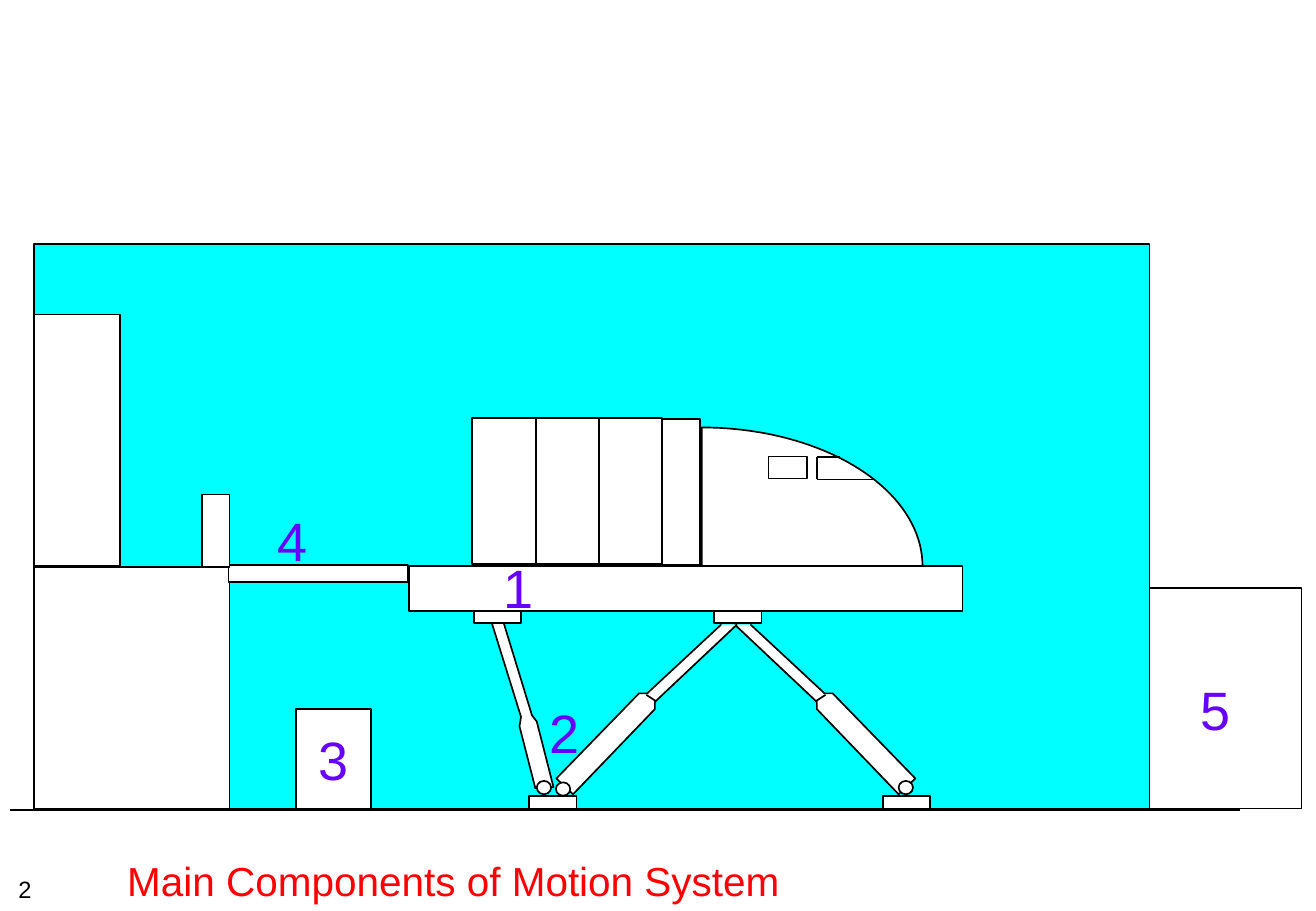
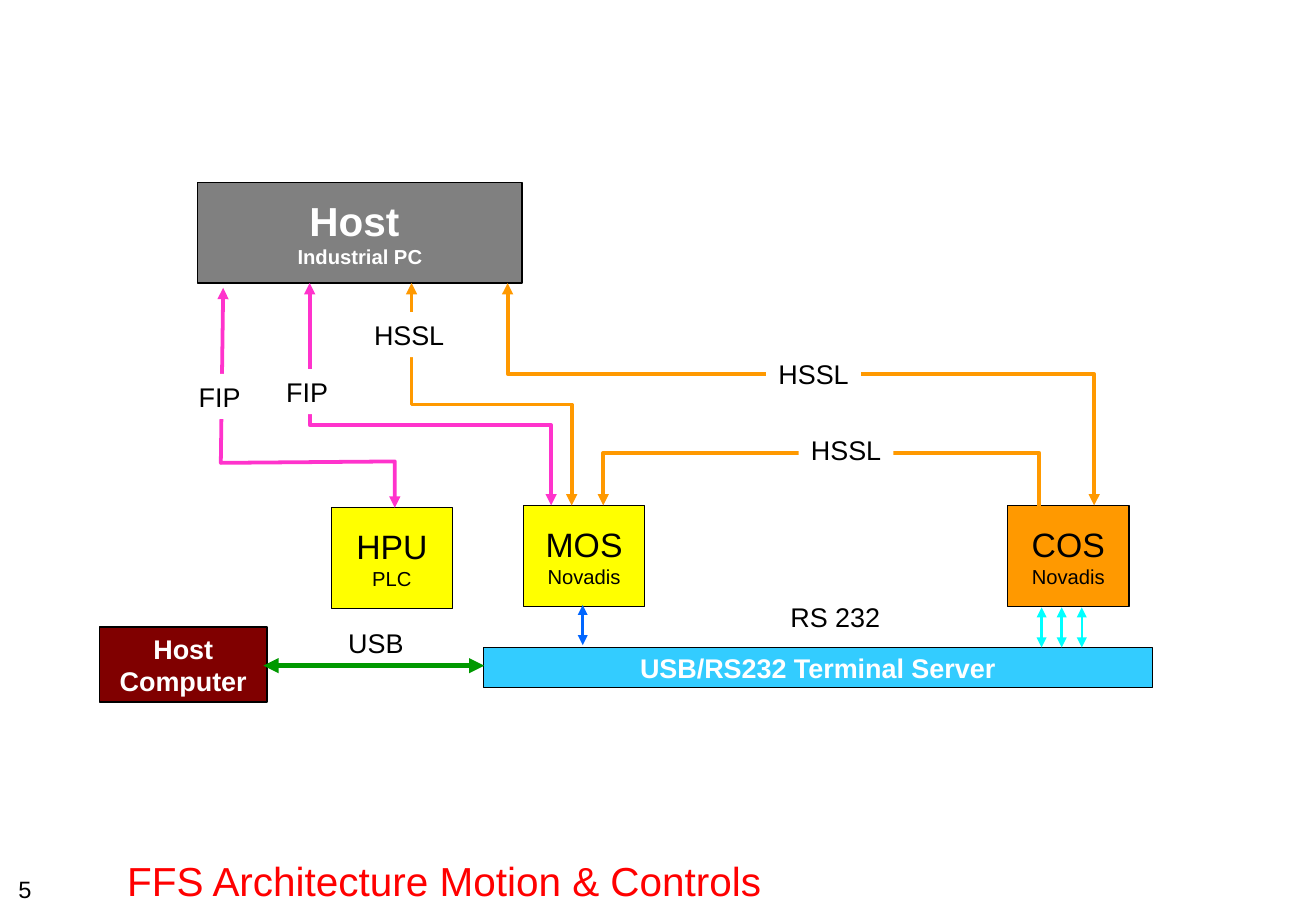
from dataclasses import dataclass
from math import cos, pi, sin

from lxml.etree import SubElement
from pptx import Presentation
from pptx.dml.color import RGBColor
from pptx.enum.shapes import MSO_CONNECTOR, MSO_SHAPE
from pptx.enum.text import MSO_ANCHOR, MSO_AUTO_SIZE, PP_ALIGN
from pptx.oxml.ns import qn
from pptx.util import Cm, Pt

FONT = "Arial"
BLACK, WHITE, RED = "000000", "FFFFFF", "FF0000"
CYAN, VIOLET, GREY = "00FFFF", "6600FF", "808080"
YELLOW, ORANGE, PINK = "FFFF00", "FF9900", "FF33CC"
SKY, BLUE, GREEN, MAROON = "33CCFF", "0066FF", "009900", "800000"
INSETS = {
    "margin_left": Cm(0.25),
    "margin_right": Cm(0.25),
    "margin_top": Cm(0.13),
    "margin_bottom": Cm(0.13),
}
TITLE_BOX = {"left": Cm(2.41), "top": Cm(17.75), "width": Cm(25.1), "height": Cm(1.3)}
MIRROR_SUM = 30.79

Points = list[tuple[float, float]]


@dataclass(frozen=True)
class Line:
    """One line of text with its look."""

    text: str
    size: float
    color: str = BLACK
    bold: bool = False


@dataclass(frozen=True)
class Block:
    """A preset shape in centimetres with optional centred text."""

    left: float
    top: float
    width: float
    height: float
    fill: str = WHITE
    border: float = 1
    lines: tuple[Line, ...] = ()
    preset: MSO_SHAPE = MSO_SHAPE.RECTANGLE


@dataclass(frozen=True)
class Wire:
    """A path in centimetres with optional arrowheads."""

    points: Points
    color: str = BLACK
    width: float = 1
    head: bool = False
    tail: bool = False


def apply(target, formats: dict) -> None:
    """Set every format value on the target."""
    for name, value in formats.items():
        setattr(target, name, value)


def rgb(color: str) -> RGBColor:
    """Turn a hex string into a colour."""
    return RGBColor.from_string(color)


def write_lines(frame, lines: tuple[Line, ...], align: PP_ALIGN) -> None:
    """Write one paragraph per line."""
    for index, line in enumerate(lines):
        paragraph = frame.add_paragraph() if index else frame.paragraphs[0]
        paragraph.alignment = align
        run = paragraph.add_run()
        run.text = line.text
        apply(run.font, {"name": FONT, "size": Pt(line.size), "bold": line.bold})
        run.font.color.rgb = rgb(line.color)


def set_outline(shape, color: str, width: float) -> None:
    """Colour and size the outline."""
    shape.line.color.rgb = rgb(color)
    shape.line.width = Pt(width)


def draw_block(slide, block: Block) -> None:
    """Draw a block with its outline and text."""
    box = (block.left, block.top, block.width, block.height)
    shape = slide.shapes.add_shape(block.preset, *map(Cm, box))
    shape.shadow.inherit = False
    shape.fill.solid()
    shape.fill.fore_color.rgb = rgb(block.fill)
    if block.border:
        set_outline(shape, BLACK, block.border)
    else:
        shape.line.fill.background()
    if block.lines:
        frame = shape.text_frame
        apply(frame, INSETS | {"word_wrap": False, "vertical_anchor": MSO_ANCHOR.MIDDLE})
        write_lines(frame, block.lines, PP_ALIGN.CENTER)


def draw_path(slide, points: Points, close: bool = False):
    """Build a freeform through the points."""
    start, *rest = [(Cm(x), Cm(y)) for x, y in points]
    builder = slide.shapes.build_freeform(*start, scale=1.0)
    builder.add_line_segments(rest, close=close)
    shape = builder.convert_to_shape()
    shape.shadow.inherit = False
    return shape


def draw_part(slide, points: Points, close: bool = False) -> None:
    """Draw a white outlined part of the simulator."""
    shape = draw_path(slide, points, close)
    shape.fill.solid()
    shape.fill.fore_color.rgb = rgb(WHITE)
    set_outline(shape, BLACK, 1)


def draw_wire(slide, wire: Wire) -> None:
    """Draw a straight connector or an angled path."""
    straight = len(wire.points) == 2
    if straight:
        ends = [Cm(value) for point in wire.points for value in point]
        shape = slide.shapes.add_connector(MSO_CONNECTOR.STRAIGHT, *ends)
    else:
        shape = draw_path(slide, wire.points)
        shape.fill.background()
    set_outline(shape, wire.color, wire.width)
    properties = shape.element.spPr
    outline = properties.find(qn("a:ln"))
    for tag, shown in (("a:headEnd", wire.head), ("a:tailEnd", wire.tail)):
        if shown:
            SubElement(outline, qn(tag), type="triangle")
    if straight:
        SubElement(properties, qn("a:effectLst"))


def draw_text(slide, box: tuple[float, ...], line: Line, align: PP_ALIGN,
              anchor: MSO_ANCHOR) -> None:
    """Draw a single-line text box."""
    frame = slide.shapes.add_textbox(*map(Cm, box)).text_frame
    apply(frame, INSETS | {"word_wrap": False, "vertical_anchor": anchor})
    write_lines(frame, (line,), align)


def add_page(deck, title: str, number: str):
    """Add a slide with the shared title and page number."""
    slide = deck.slides.add_slide(deck.slide_layouts[5])
    heading = slide.shapes.title
    apply(heading, TITLE_BOX)
    apply(heading.text_frame, INSETS | {
        "word_wrap": True,
        "auto_size": MSO_AUTO_SIZE.NONE,
        "vertical_anchor": MSO_ANCHOR.BOTTOM,
    })
    write_lines(heading.text_frame, (Line(title, 24, RED),), PP_ALIGN.LEFT)
    draw_text(slide, (0, 18.16, 1.04, 0.86), Line(number, 14),
              PP_ALIGN.CENTER, MSO_ANCHOR.MIDDLE)
    return slide


def pad(left: float, top: float) -> Block:
    """Describe a mounting pad of a leg."""
    return Block(left, top, 0.99, 0.28)


def joint(left: float, top: float) -> Block:
    """Describe a round joint at the foot of a leg."""
    return Block(left, top, 0.3, 0.28, preset=MSO_SHAPE.OVAL)


def mirrored(points: Points) -> Points:
    """Reflect points across the axis between the two front legs."""
    return [(MIRROR_SUM - x, y) for x, y in points]


def draw_motion_system(deck) -> None:
    """Draw the side view of the simulator hall."""
    slide = add_page(deck, "Main Components of Motion System", "2")
    draw_block(slide, Block(0.71, 5.11, 23.34, 11.81, CYAN))
    draw_wire(slide, Wire([(25.93, 16.94), (0.2, 16.94)]))

    draw_block(slide, Block(13.84, 8.76, 0.81, 3.05))
    for column in (2, 1, 0):
        draw_block(slide, Block(9.88 + 1.32 * column, 8.74, 1.33, 3.05))

    steps = 40
    angles = [pi / 2 * step / steps for step in range(steps + 1)]
    nose = [(14.68 + 4.62 * sin(angle), 11.84 - 2.9 * cos(angle)) for angle in angles]
    draw_part(slide, nose + [(14.68, 11.84)], close=True)
    draw_block(slide, Block(16.08, 9.55, 0.81, 0.46))
    for end in ((17.09, 10.01), (17.58, 9.55)):
        draw_wire(slide, Wire([(17.09, 9.55), end]))
    draw_wire(slide, Wire([(17.09, 10.03), (18.26, 10.03)]))

    leg = [(15.7, 13.06), (17.25, 14.5), (17.42, 14.5), (19.15, 16.28),
           (18.8, 16.61), (17.09, 14.83), (17.09, 14.68), (15.37, 13.06)]
    collar = [(17.27, 14.53), (17.07, 14.66)]
    rear_leg = [(10.29, 13.03), (10.9, 14.99), (10.87, 15.19), (11.2, 16.48),
                (11.58, 16.46), (11.23, 15.09), (11.13, 14.96), (10.54, 13.03)]
    draw_part(slide, rear_leg)
    for outline, ring in ((leg, collar), (mirrored(leg), mirrored(collar))):
        draw_part(slide, outline)
        draw_wire(slide, Wire(ring))

    fittings = [pad(18.47, 16.64), pad(14.94, 12.75), pad(11.07, 16.64), pad(9.91, 12.75),
                joint(18.8, 16.33), joint(11.63, 16.36), joint(11.23, 16.33)]
    annex = Block(24.05, 12.29, 3.18, 4.62)
    building = Block(0.71, 11.86, 4.09, 5.05)
    tower = Block(0.71, 6.58, 1.8, 5.26)
    cabinet = Block(6.2, 14.83, 1.57, 2.08, lines=(Line("3", 32, VIOLET),))
    gangway = Block(4.78, 11.81, 3.76, 0.36)
    door = Block(4.22, 10.34, 0.58, 1.52)
    platform = Block(8.56, 11.84, 11.58, 0.94)
    for block in fittings + [annex, building, tower, cabinet, gangway, door, platform]:
        draw_block(slide, block)

    numbers = {"1": (10.29, 11.46), "2": (11.25, 14.5), "4": (5.56, 10.49), "5": (24.87, 14.02)}
    for number, place in numbers.items():
        draw_text(slide, (*place, 1.14, 1.6), Line(number, 32, VIOLET),
                  PP_ALIGN.LEFT, MSO_ANCHOR.TOP)


def unit(left: float, top: float, fill: str, name: str, kind: str) -> Block:
    """Describe a control unit with its name and kind."""
    return Block(left, top, 2.54, 2.11, fill, 0.75, (Line(name, 20), Line(kind, 12)))


def label(left: float, top: float, width: float, text: str) -> Block:
    """Describe a white label that interrupts a wire."""
    return Block(left, top, width, 0.94, border=0, lines=(Line(text, 16),))


def link(color: str, *points: tuple[float, float], head: bool = True) -> Wire:
    """Describe a data link that ends in an arrowhead."""
    return Wire(list(points), color, 2.25, head, True)


def draw_architecture(deck) -> None:
    """Draw the control units and the links between them."""
    slide = add_page(deck, "FFS Architecture Motion & Controls", "5")
    units = [
        Block(4.14, 3.81, 6.78, 2.11, GREY, 0.75,
              (Line("Host ", 24, WHITE, True), Line("Industrial PC", 12, WHITE, True))),
        unit(21.08, 10.57, ORANGE, "COS", "Novadis"),
        unit(10.95, 10.57, YELLOW, "MOS", "Novadis"),
        unit(6.93, 10.62, YELLOW, "HPU", "PLC"),
        Block(10.11, 13.54, 14, 0.84, SKY, 0.75,
              (Line("USB/RS232 Terminal Server", 16, WHITE, True),)),
        Block(2.08, 13.11, 3.51, 1.57, MAROON, 1,
              (Line("Host", 16, WHITE, True), Line("Computer", 16, WHITE, True))),
    ]
    links = [
        link(ORANGE, (10.62, 5.92), (10.62, 7.82), (22.89, 7.82), (22.89, 10.57)),
        link(ORANGE, (11.96, 10.57), (11.96, 8.46), (8.61, 8.46), (8.61, 5.92)),
        link(PINK, (6.48, 5.92), (6.48, 8.89), (11.53, 8.89), (11.53, 10.57)),
        link(ORANGE, (21.74, 10.64), (21.74, 9.47), (12.62, 9.47), (12.62, 10.57), head=False),
        link(PINK, (4.67, 6.02), (4.62, 9.68), (8.26, 9.65), (8.26, 10.62)),
    ]
    labels = [
        label(7.04, 12.98, 1.65, "USB"),
        label(16.28, 12.42, 2.39, "RS 232"),
    ]
    labels += [label(*place, 1.37, "FIP") for place in ((5.74, 7.72), (3.91, 7.82))]
    labels += [label(*place, 1.98, "HSSL")
               for place in ((7.57, 6.53), (16.03, 7.34), (16.71, 8.94))]
    cables = [Wire([(12.19, 12.65), (12.19, 13.49)], BLUE, 1.5, True, True),
              Wire([(5.51, 13.92), (10.13, 13.92)], GREEN, 3, True, True)]
    for lane in range(3):
        x = 21.79 + 0.42 * lane
        cables.append(Wire([(x, 12.7), (x, 13.54)], CYAN, 1.5, True, True))

    for group, draw in ((units, draw_block), (links, draw_wire),
                        (labels, draw_block), (cables, draw_wire)):
        for item in group:
            draw(slide, item)


def main() -> None:
    """Build and save the presentation."""
    deck = Presentation()
    apply(deck, {"slide_width": Cm(27.53), "slide_height": Cm(19.05)})
    draw_motion_system(deck)
    draw_architecture(deck)
    deck.save("out.pptx")


if __name__ == "__main__":
    main()
